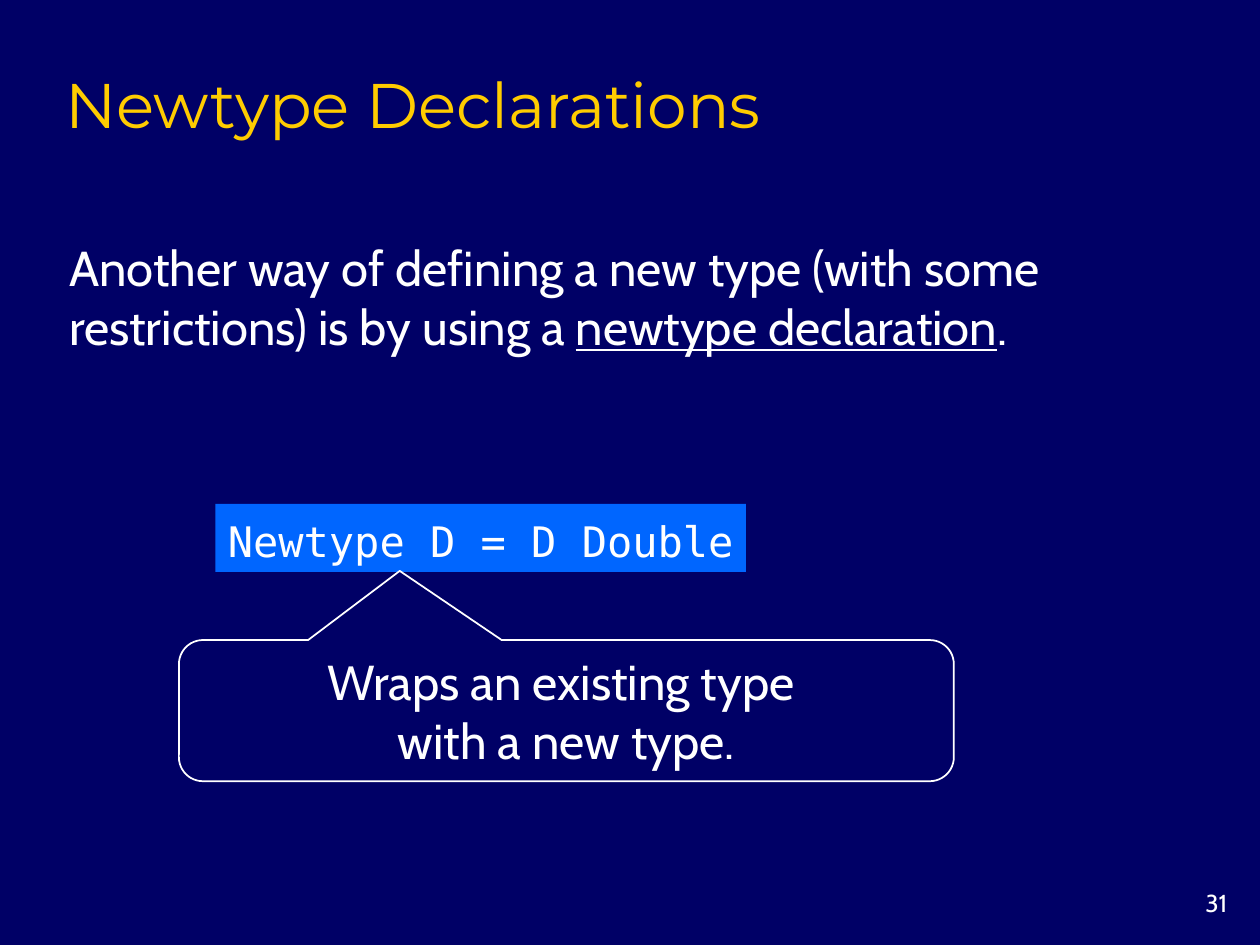
from pptx import Presentation
from pptx.dml.color import RGBColor
from pptx.enum import shapes, text
from pptx.util import Inches, Pt

WHITE, GOLD, BLUE, NAVY = "FFFFFF", "FFCC00", "0066FF", "000066"
SHAPE, ALIGN, ANCHOR = shapes.MSO_SHAPE, text.PP_ALIGN, text.MSO_ANCHOR


def color(code):
    return RGBColor.from_string(code)


def write(frame, lines, font="Cabin", size=28, ink=WHITE, align=ALIGN.LEFT,
          anchor=ANCHOR.MIDDLE, wrap=True, gap=None):
    """Fill a frame; each line is a list of (words, underlined) runs."""
    frame.word_wrap = wrap
    frame.vertical_anchor = anchor
    for i, line in enumerate(lines):
        para = frame.paragraphs[0] if i == 0 else frame.add_paragraph()
        para.alignment = align
        if gap:
            para.line_spacing = gap
        for words, under in line:
            run = para.add_run()
            run.text = words
            run.font.name = font
            run.font.size = Pt(size)
            run.font.color.rgb = color(ink)
            if under:
                run.font.underline = True


class Deck:
    def __init__(self):
        self.file = Presentation()
        self.file.slide_width = Inches(10)
        self.file.slide_height = Inches(7.5)
        self.slide = self.file.slides.add_slide(self.file.slide_layouts[6])
        fill = self.slide.background.fill
        fill.solid()
        fill.fore_color.rgb = color(NAVY)

    def label(self, box, lines, **style):
        item = self.slide.shapes.add_textbox(*map(Inches, box))
        write(item.text_frame, lines, **style)

    def shape(self, kind, box, lines, fill=None, line=None, adjust=(), **style):
        item = self.slide.shapes.add_shape(kind, *map(Inches, box))
        item.shadow.inherit = False
        for i, value in enumerate(adjust):
            item.adjustments[i] = value
        if fill:
            item.fill.solid()
            item.fill.fore_color.rgb = color(fill)
        else:
            item.fill.background()
        if line:
            item.line.color.rgb = color(line)
            item.line.width = Pt(1)
        else:
            item.line.fill.background()
        write(item.text_frame, lines, **style)


def main():
    deck = Deck()

    # Page number
    deck.label((9.17, 7, 0.67, 0.33), [[("31", False)]],
               size=14, align=ALIGN.RIGHT, anchor=ANCHOR.TOP)

    # Title
    deck.label((0.42, 0.42, 8.5, 0.75), [[("Newtype Declarations", False)]],
               font="Montserrat", size=36, ink=GOLD, anchor=ANCHOR.BOTTOM)

    # Definition
    deck.label((0.45, 1.6, 9.18, 1.5), [[
        ("Another way of defining a new type (with some "
         "restrictions) is by using a ", False),
        ("newtype declaration", True),
        (".", False)]])

    # Code
    deck.shape(SHAPE.RECTANGLE, (1.71, 4, 4.21, 0.54),
               [[("Newtype D = D Double", False)]], fill=BLUE,
               font="DejaVu Sans Mono", size=24, wrap=False, gap=1.1)

    # Callout that points at the code
    deck.shape(SHAPE.ROUNDED_RECTANGULAR_CALLOUT, (1.42, 5.08, 6.15, 1.12),
               [[("Wraps an existing type ", False)],
                [("with a new type.", False)]],
               line=WHITE, adjust=(-0.215, -0.99, 0.17), align=ALIGN.CENTER)

    deck.file.save("out.pptx")


if __name__ == "__main__":
    main()
